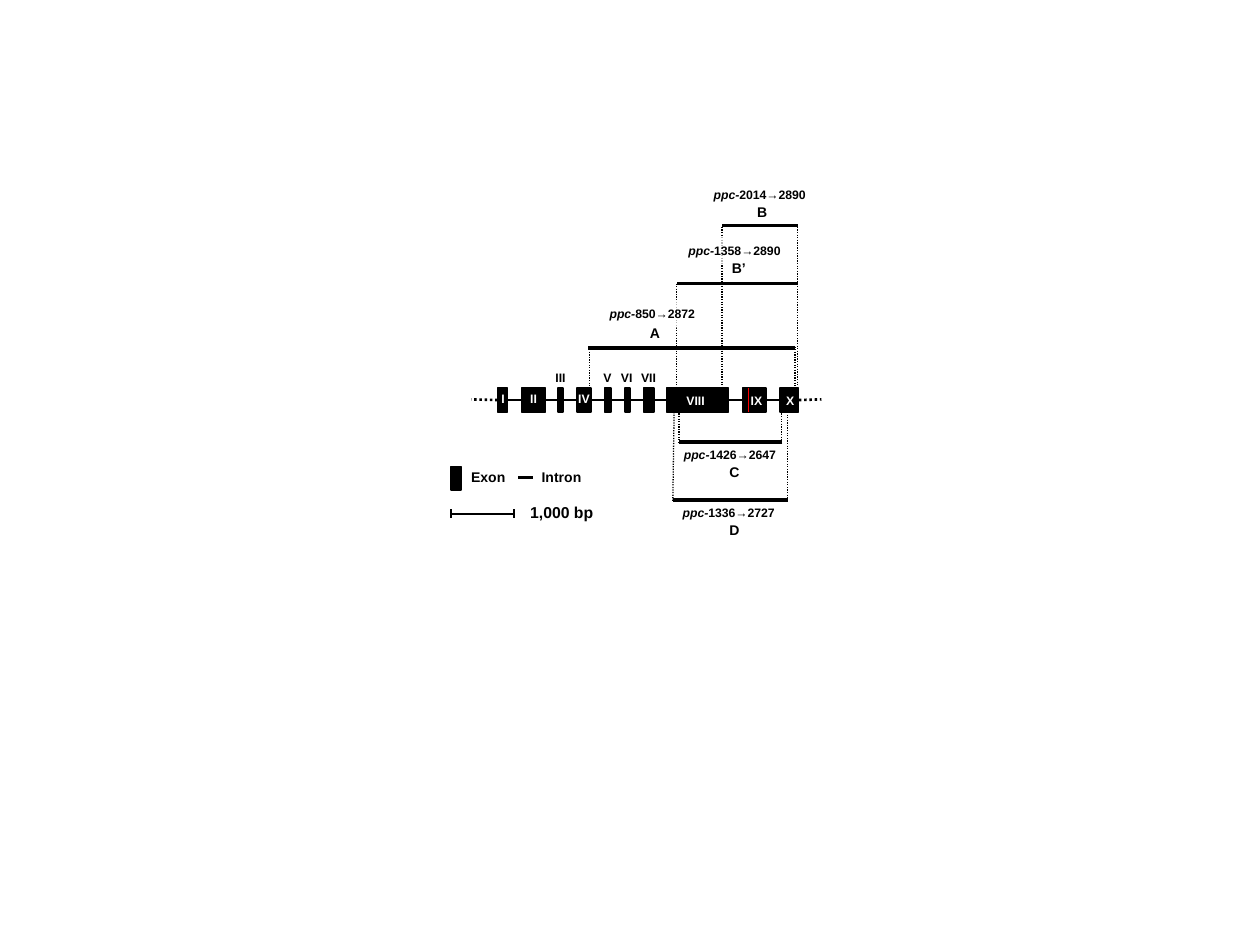
from lxml.etree import SubElement
from pptx import Presentation
from pptx.dml.color import RGBColor
from pptx.enum.dml import MSO_LINE as Dash
from pptx.enum.shapes import MSO_CONNECTOR as Cxn, MSO_SHAPE as Shape
from pptx.enum.text import MSO_AUTO_SIZE as AutoSize, PP_ALIGN as Align
from pptx.oxml.ns import qn
from pptx.util import Pt

PX = 9144
BLACK = RGBColor(0, 0, 0)
WHITE = RGBColor(255, 255, 255)
RED = RGBColor(255, 0, 0)
LEFT, RIGHT = 1, 3


def add_run(p, text, *, size=7, color=BLACK, italic=False, font="Arial"):
    r = p.add_run()
    r.text = text
    r.font.name = font
    r.font.size = Pt(size)
    r.font.bold = True
    r.font.italic = italic
    r.font.color.rgb = color


class Diagram:
    thin, medium, thick = 0.75, 1.5, 2.25

    def __init__(self, slide):
        self.shapes = slide.shapes.add_group_shape().shapes

    def exon(self, x, y, w, h=19):
        s = self.shapes.add_shape(Shape.RECTANGLE, x * PX, y * PX, w * PX, h * PX)
        s.shadow.inherit = False
        s.fill.solid()
        s.fill.fore_color.rgb = BLACK
        s.line.color.rgb = BLACK
        s.line.width = Pt(self.thin)
        return s

    def line(self, x1, y1, x2, y2, width=thin, color=BLACK, dotted=False):
        c = self.shapes.add_connector(Cxn.STRAIGHT, x1 * PX, y1 * PX, x2 * PX, y2 * PX)
        c.line.color.rgb = color
        c.line.width = Pt(width)
        if dotted:
            c.line.dash_style = Dash.ROUND_DOT
        SubElement(c._element.spPr, qn("a:effectLst"))
        return c

    def label(self, x, y, w, h, text, prefix="", wrap=False, veil=False, **style):
        s = self.shapes.add_textbox(x * PX, y * PX, w * PX, h * PX)
        tf = s.text_frame
        tf.word_wrap = wrap
        tf.auto_size = AutoSize.SHAPE_TO_FIT_TEXT
        p = tf.paragraphs[0]
        if wrap:
            p.alignment = Align.CENTER
        else:
            tf.margin_right = 0
        if prefix:
            add_run(p, prefix, italic=True, **style)
        add_run(p, text, **style)
        if veil:
            s.fill.solid()
            s.fill.fore_color.rgb = WHITE
            clr = s._element.spPr.find(qn("a:solidFill"))[0]
            SubElement(clr, qn("a:alpha"), val="70000")


EXONS = [
    (395, 8, "I", 388, 306, 22), (414, 19, "II", 411, 306, 25),
    (443, 4, "III", 431, 289, 28), (458, 11, "IV", 449, 306, 29),
    (480, 5, "V", 469, 289, 26), (496, 4, "VI", 483, 289, 29),
    (511, 8, "VII", 499, 289, 32), (529, 49, "VIII", 535, 307, 34),
    (589, 19, "IX", 586, 307, 29), (619, 15, "X", 614, 307, 26),
]
BARS = [(573, 633, 179), (537, 633, 225), (467, 631, 276), (539, 621, 351), (534, 625, 397)]
LEFT_DROPS = [(573, 180, 573, 310), (537, 225, 537, 307), (468, 275, 468, 315),
              (539, 324, 539, 352), (535, 327, 534, 398)]
RIGHT_DROPS = [(633, 178, 633, 308), (631, 275, 631, 315),
               (620, 324, 620, 351), (625, 327, 625, 398)]
RANGES = [
    ("2014→2890", 540, 144, 126, True, False), ("1358→2890", 520, 188, 126, True, True),
    ("850→2872", 474, 238, 87, False, True), ("1426→2647", 533, 350, 93, False, False),
    ("1336→2727", 532, 396, 93, False, False),
]
LETTERS = [("B", 591, 157, 28), ("B’", 571, 201, 31), ("A", 506, 253, 28),
           ("C", 569, 363, 28), ("D", 569, 409, 28)]


def draw_gene(d):
    exons = [d.exon(x, 308, w) for x, w, *_ in EXONS]
    for a, b in zip(exons, exons[1:]):
        intron = d.line(403, 317, 413, 317, d.medium)
        intron.begin_connect(a, RIGHT)
        intron.end_connect(b, LEFT)
    d.line(395, 317, 374, 317, d.medium, dotted=True).begin_connect(exons[0], LEFT)
    d.line(634, 317, 652, 317, d.medium, dotted=True).begin_connect(exons[-1], RIGHT)
    d.line(594, 308, 594, 327, color=RED)
    for _, _, name, x, y, w in EXONS:
        d.label(x, y, w, 22, name, color=BLACK if y < 300 else WHITE)


def draw_fragments(d):
    for drop in LEFT_DROPS:
        d.line(*drop, dotted=True)
    for x1, x2, y in BARS:
        d.line(x2, y, x1, y, d.thick)
    for text, x, y, w, wrap, veil in RANGES:
        d.label(x, y, w, 22, text, prefix="ppc-", wrap=wrap, veil=veil)
    for text, x, y, w in LETTERS:
        d.label(x, y, w, 24, text, size=8)
    for drop in RIGHT_DROPS:
        d.line(*drop, dotted=True)


def draw_legend(d):
    d.exon(358, 370, 8)
    d.label(364, 367, 47, 24, "Exon", size=8)
    d.line(423, 379, 411, 379, d.medium)
    d.label(420, 367, 51, 24, "Intron", size=8)
    d.line(358, 408, 408, 408)
    for x in (358, 408):
        d.line(x, 404, x, 411)
    d.label(411, 394, 70, 25, "1,000 bp", size=9)


def main():
    prs = Presentation()
    prs.slide_width, prs.slide_height = 1000 * PX, 750 * PX
    d = Diagram(prs.slides.add_slide(prs.slide_layouts[6]))
    draw_gene(d)
    draw_fragments(d)
    draw_legend(d)
    prs.save("out.pptx")


if __name__ == "__main__":
    main()
